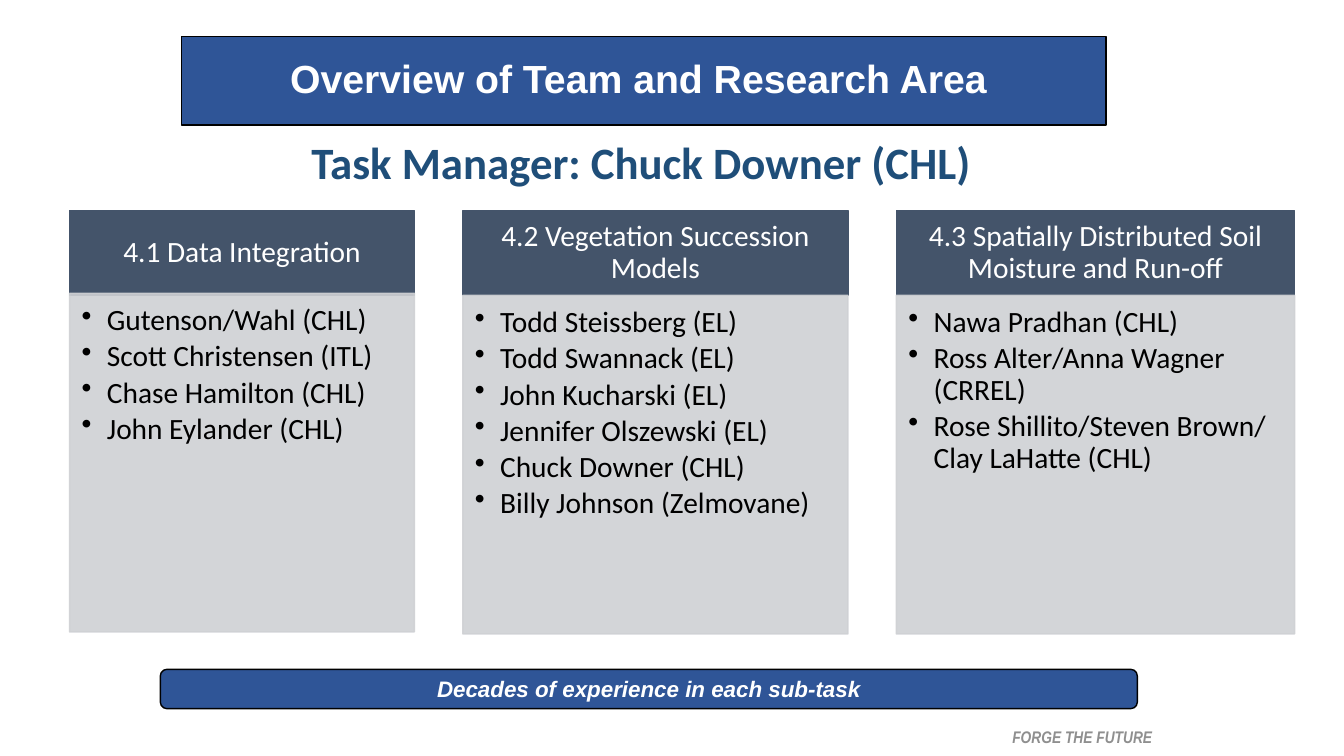
"""Build the team and research area overview slide."""
from pptx import Presentation
from pptx.dml.color import RGBColor as RGB
from pptx.enum.shapes import MSO_SHAPE as Form
from pptx.enum.text import MSO_ANCHOR as Anchor, PP_ALIGN as Align
from pptx.oxml import parse_xml
from pptx.oxml.ns import nsdecls, qn
from pptx.util import Inches, Pt

HUES = {"blue": "2F5597", "slate": "44546A", "pale": "CFD1D4", "navy": "1F4E79",
        "gray": "8F8F8F", "white": "FFFFFF", "black": "000000"}
UNIT = Inches(0.1)
TOP, HEAD, BODY, GAP = 20.9, 8.4, 33.6, 4.8
TEAMS = [
    ("4.1 Data Integration", 34.2, 29.1,
     ["Gutenson/Wahl (CHL)", "Scott Christensen (ITL)",
      "Chase Hamilton (CHL)", "John Eylander (CHL)"]),
    ("4.2 Vegetation Succession Models", 38.2, 29.3,
     ["Todd Steissberg (EL)", "Todd Swannack (EL)", "John Kucharski (EL)",
      "Jennifer Olszewski (EL)", "Chuck Downer (CHL)",
      "Billy Johnson (Zelmovane)"]),
    ("4.3 Spatially Distributed Soil Moisture and Run-off", 39.5, 29.3,
     ["Nawa Pradhan (CHL)", "Ross Alter/Anna Wagner (CRREL)",
      "Rose Shillito/Steven Brown/ Clay LaHatte (CHL)"]),
]

deck = Presentation()
deck.slide_width, deck.slide_height = Inches(13.33), Inches(7.5)
slide = deck.slides.add_slide(deck.slide_layouts[6])


def panel(grid, fill=None, edge=None, form=Form.RECTANGLE):
    """Add a box, in grid units; without a fill it is a plain text box."""
    area = [round(n * UNIT) for n in grid]
    if fill is None:
        box = slide.shapes.add_textbox(*area)
    else:
        box = slide.shapes.add_shape(form, *area)
        box.shadow.inherit = False
        box.fill.solid()
        box.fill.fore_color.rgb = RGB.from_string(HUES[fill])
        box.line.color.rgb = RGB.from_string(HUES[edge])
        box.line.width = Pt(1)
    box.text_frame.word_wrap = True
    return box


def write(box, lines, size, hue, face="Calibri", bold=False, slant=False,
          align=Align.CENTER, pad=(1, 0.5, 1, 0.5), lead=None, after=0,
          anchor=Anchor.MIDDLE, dot=False):
    """Fill a box with one paragraph for each line."""
    frame = box.text_frame
    frame.vertical_anchor = anchor
    (frame.margin_left, frame.margin_top,
     frame.margin_right, frame.margin_bottom) = [round(n * UNIT) for n in pad]
    for i, line in enumerate(lines):
        para = frame.add_paragraph() if i else frame.paragraphs[0]
        para.text = line
        para.alignment = align
        para.line_spacing = lead
        para.space_after = Pt(after)
        if dot:
            props = para._p.get_or_add_pPr()
            props.set("marL", str(Inches(0.25)))
            props.set("indent", str(-Inches(0.25)))
            props.append(parse_xml(f'<a:buChar {nsdecls("a")} char="•"/>'))
        font = para.font
        font.name, font.size, font.bold, font.italic = face, Pt(size), bold, slant
        font.color.rgb = RGB.from_string(HUES[hue])


left = 6.9
for name, wide, low, staff in TEAMS:
    head = panel((left, TOP, wide, HEAD), "slate", "slate")
    write(head, [name], 21, "white", pad=(1.6, 0.9, 1.6, 0.9), lead=0.9)
    body = panel((left, low, wide, BODY), "pale", "pale")
    for tint in body._element.spPr.iter(qn("a:srgbClr")):
        tint.append(parse_xml(f'<a:alpha {nsdecls("a")} val="90000"/>'))
    write(body, staff, 21, "black", align=Align.LEFT, pad=(1.2, 1.2, 1.6, 1.8),
          lead=0.9, after=3.15, anchor=Anchor.TOP, dot=True)
    left += wide + GAP

motto = panel((100.4, 72.1, 25.6, 2))
write(motto, ["FORGE THE FUTURE"], 12, "gray", "Arial Narrow", True, True,
      Align.LEFT, (0, 0, 0, 0), anchor=Anchor.TOP)
note = panel((15.9, 66.4, 96.9, 3.9), "blue", "black", Form.ROUNDED_RECTANGLE)
write(note, ["Decades of experience in each sub-task"], 16, "white", "Arial",
      True, True)
title = panel((18, 3.6, 91.7, 8.8), "blue", "black")
write(title, ["Overview of Team and Research Area "], 28, "white", "Arial", True,
      lead=0.9)
chief = panel((29.9, 12.9, 75.5, 6.4))
write(chief, ["Task Manager: Chuck Downer (CHL)"], 32, "navy", bold=True,
      align=Align.LEFT, anchor=Anchor.TOP)

deck.save("out.pptx")
